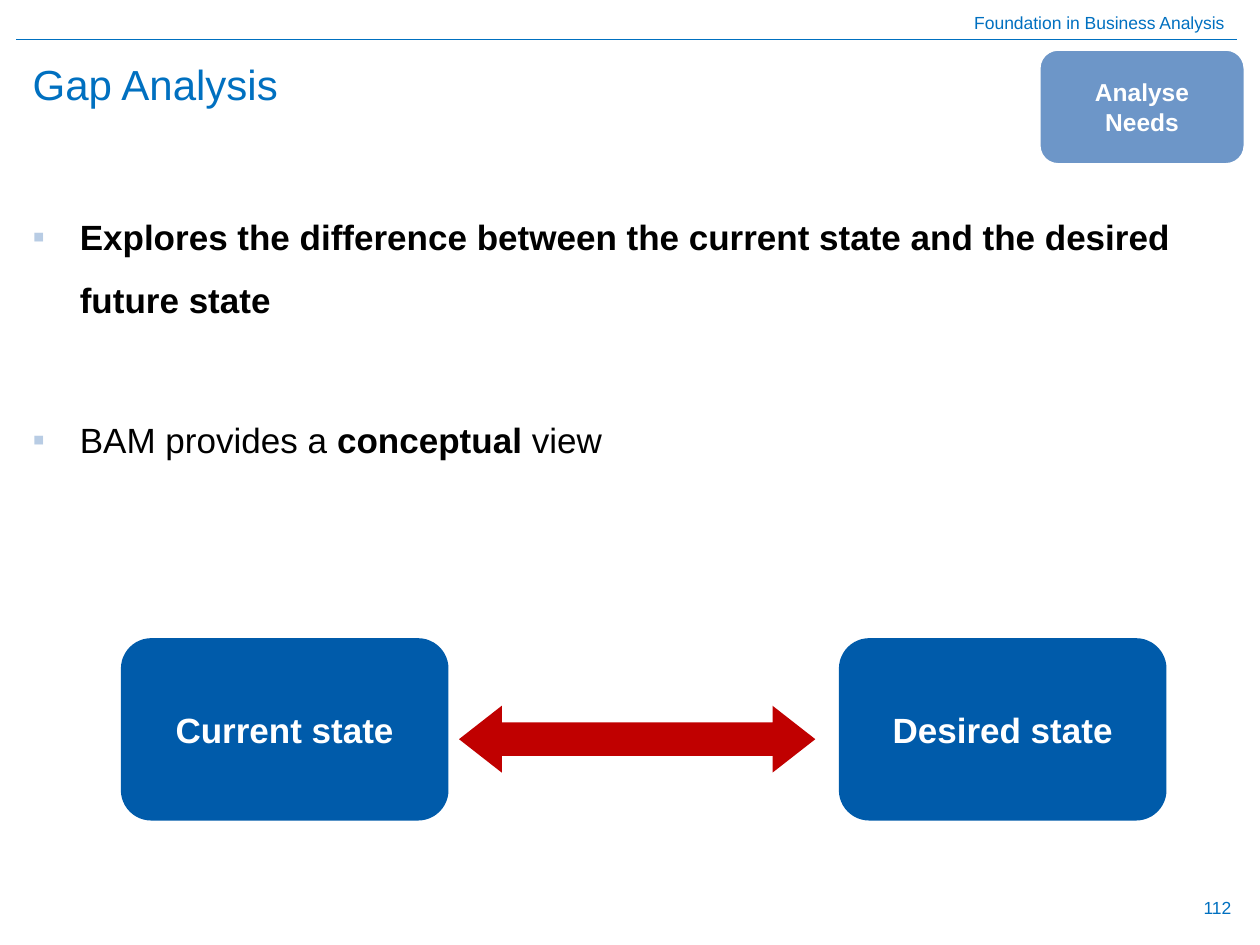
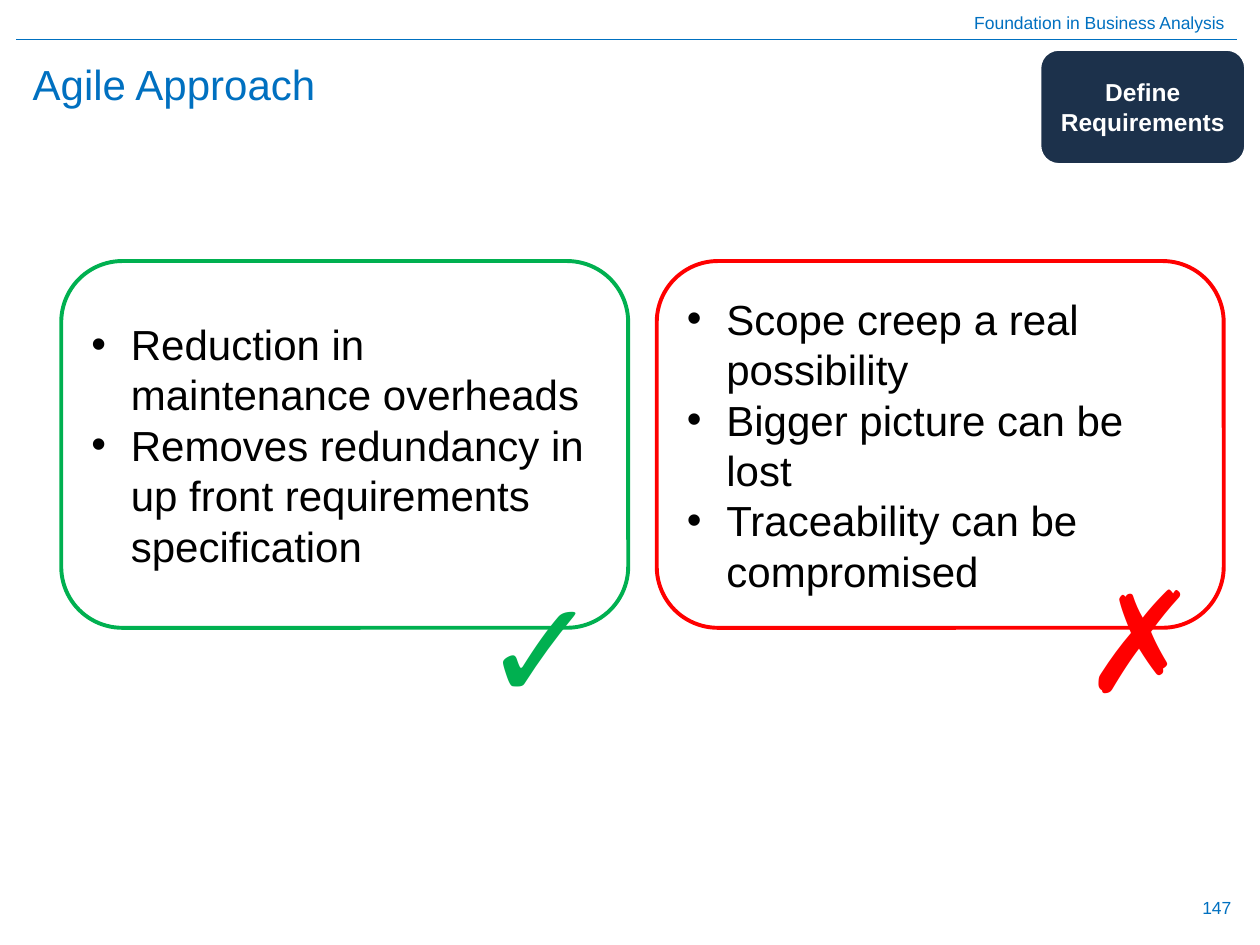
import dataclasses

import pptx
import pptx.dml.color
import pptx.enum.shapes
import pptx.enum.text
import pptx.oxml
import pptx.oxml.ns
import pptx.util

Pt = pptx.util.Pt
Shape = pptx.enum.shapes.MSO_SHAPE
Align = pptx.enum.text.PP_ALIGN
Anchor = pptx.enum.text.MSO_ANCHOR


@dataclasses.dataclass(frozen=True)
class Theme:
    """Colours and type sizes of the course slides."""
    font: str = "Arial"
    accent: str = "0070C0"
    text: str = "000000"
    paper: str = "FFFFFF"
    bullet: str = "B8CCE4"
    analyse: str = "6D96C8"
    define: str = "1C314B"
    state: str = "005BAA"
    gap: str = "C00000"
    pro: str = "00B050"
    con: str = "FF0000"
    small: int = 10
    badge: int = 14
    body: int = 20
    large: int = 24
    mark: int = 80


def rgb(value):
    return pptx.dml.color.RGBColor.from_string(value)


def add_xml(parent, tag, **attributes):
    child = pptx.oxml.parse_xml(f"<a:{tag} {pptx.oxml.ns.nsdecls('a')}/>")
    for name, value in attributes.items():
        child.set(name, value)
    parent.append(child)
    return child


class Deck:
    TITLE_AND_BODY, TITLE_ONLY = 1, 5

    def __init__(self, theme):
        self.theme = theme
        self.file = pptx.Presentation()
        self.file.slide_width, self.file.slide_height = Pt(720), Pt(540)
        self.slide = None

    def start(self, layout, title, number):
        """New slide with the shared header, title and page number."""
        t = self.theme
        self.slide = self.file.slides.add_slide(self.file.slide_layouts[layout])
        heading = self.slide.shapes.title
        self.place(heading, (11.5, 28, 692, 39.6))
        heading.text_frame.text = title
        heading.text_frame.vertical_anchor = Anchor.MIDDLE
        self.style(heading.text_frame, t.large, t.accent)
        self.label("Foundation in Business Analysis", (0, 3.4, 706.6, 19.4),
                   t.small, t.accent, Align.RIGHT)
        self.rule((9.4, 22.5), (707, 22.5))
        self.label(number, (542.9, 504, 167.8, 28.8), t.small, t.accent,
                   Align.RIGHT, Anchor.MIDDLE)

    def place(self, shape, box):
        shape.left, shape.top, shape.width, shape.height = map(Pt, box)

    def style(self, frame, size, color, align=Align.LEFT, bold=None):
        for paragraph in frame.paragraphs:
            paragraph.alignment = align
            for run in paragraph.runs:
                run.font.name, run.font.size = self.theme.font, Pt(size)
                run.font.color.rgb = rgb(color)
                if bold is not None:
                    run.font.bold = bold

    def bullet(self, paragraph, char, indent, color):
        properties = paragraph._p.get_or_add_pPr()
        properties.set("marL", str(Pt(indent)))
        properties.set("indent", str(-Pt(indent)))
        add_xml(add_xml(properties, "buClr"), "srgbClr", val=color)
        add_xml(properties, "buFont", typeface=self.theme.font)
        add_xml(properties, "buChar", char=char)

    def label(self, text, box, size, color, align=Align.CENTER,
              anchor=Anchor.TOP, bold=False, wrap=True):
        label = self.slide.shapes.add_textbox(*map(Pt, box))
        label.text_frame.word_wrap = wrap
        label.text_frame.vertical_anchor = anchor
        label.text_frame.text = text
        self.style(label.text_frame, size, color, align, bold)

    def rule(self, start, end):
        rule = self.slide.shapes.add_connector(
            pptx.enum.shapes.MSO_CONNECTOR.STRAIGHT,
            *map(Pt, start), *map(Pt, end))
        rule.line.color.rgb = rgb(self.theme.accent)
        rule.line.width = Pt(0.75)
        add_xml(rule._element.spPr, "effectLst")

    def shape(self, kind, box, fill, line=None, width=0):
        shape = self.slide.shapes.add_shape(kind, *map(Pt, box))
        shape.shadow.inherit = False
        shape.fill.solid()
        shape.fill.fore_color.rgb = rgb(fill)
        if line:
            shape.line.color.rgb = rgb(line)
            shape.line.width = Pt(width)
        else:
            shape.line.fill.background()
        return shape

    def caption_box(self, text, box, fill, size, line=None, width=0):
        """Rounded box with a bold white caption."""
        frame = self.shape(Shape.ROUNDED_RECTANGLE, box, fill, line, width).text_frame
        frame.word_wrap = True
        frame.vertical_anchor = Anchor.MIDDLE
        frame.text = text
        self.style(frame, size, self.theme.paper, Align.CENTER, True)

    def badge(self, text, fill, left):
        self.caption_box(text, (left, 28, 118, 66.2), fill,
                         self.theme.badge, self.theme.paper, 2)

    def body(self, points, box, inset, gap):
        """Body list; each point is a list of (text, bold) runs."""
        t = self.theme
        body = self.slide.placeholders[1]
        self.place(body, box)
        frame = body.text_frame
        frame.auto_size = pptx.enum.text.MSO_AUTO_SIZE.NONE
        frame.margin_top = Pt(inset)
        for index, runs in enumerate(points):
            paragraph = frame.add_paragraph() if index else frame.paragraphs[0]
            paragraph.line_spacing = 1.5
            paragraph.space_before = Pt(gap if index else 0)
            self.bullet(paragraph, "▪", 27, t.bullet)
            for text, bold in runs:
                run = paragraph.add_run()
                run.text = text
                run.font.bold = bold
        self.style(frame, t.body, t.text)

    def list_box(self, points, box, color):
        """White rounded box with a coloured outline and a bullet list."""
        t = self.theme
        frame = self.shape(Shape.ROUNDED_RECTANGLE, box, t.paper, color, 2.25).text_frame
        frame.word_wrap = True
        frame.vertical_anchor = Anchor.MIDDLE
        frame.text = "\n".join(points)
        for paragraph in frame.paragraphs:
            self.bullet(paragraph, "•", 22.5, t.text)
        self.style(frame, t.large, t.text)


def gap_analysis(deck):
    t = deck.theme
    deck.start(deck.TITLE_AND_BODY, "Gap Analysis", "112")
    deck.body([
        [("Explores the difference between the current state and the desired "
          "future state", True)],
        [("BAM provides a ", False), ("conceptual", True), (" view", False)],
    ], (11.4, 79.2, 692, 272.9), inset=32.2, gap=44)
    deck.badge("Analyse Needs", t.analyse, 593.6)

    # The two states and the gap between them
    for text, left in (("Current state", 69.1), ("Desired state", 479.4)):
        deck.caption_box(text, (left, 364.7, 187.2, 104.2), t.state, t.body)
    gap_arrow = deck.shape(Shape.LEFT_RIGHT_ARROW, (262.3, 403.3, 203.6, 38.2), t.gap)
    gap_arrow.adjustments[0], gap_arrow.adjustments[1] = 0.5, 0.64


def agile_approach(deck):
    t = deck.theme
    deck.start(deck.TITLE_ONLY, "Agile Approach", "147")

    # Benefits and drawbacks, each with its mark
    benefits = ["Reduction in maintenance overheads",
                "Removes redundancy in up front requirements specification"]
    drawbacks = ["Scope creep a real possibility",
                 "Bigger picture can be lost",
                 "Traceability can be compromised"]
    sides = [(benefits, 35, t.pro, "✓", (268.6, 317, 76.3, 104.4)),
             (drawbacks, 375.3, t.con, "✗", (611.3, 312.2, 67, 104.4))]
    for points, left, color, mark, mark_box in sides:
        deck.list_box(points, (left, 149.2, 324, 209.6), color)
        deck.label(mark, mark_box, t.mark, color, bold=True, wrap=False)
    deck.badge("Define Requirements", t.define, 594)


def main():
    deck = Deck(Theme())
    gap_analysis(deck)
    agile_approach(deck)
    deck.file.save("out.pptx")


if __name__ == "__main__":
    main()
